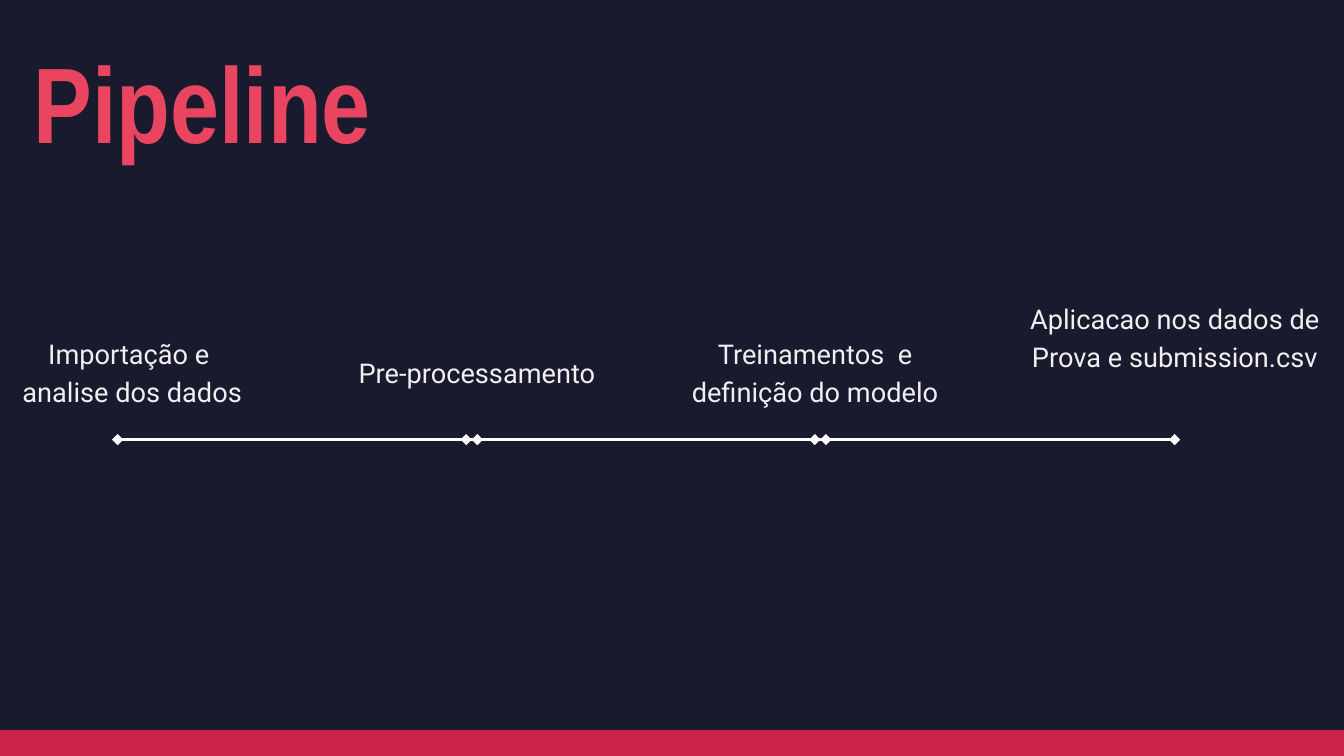
from dataclasses import dataclass

from lxml import etree
from pptx import Presentation
from pptx.dml.color import RGBColor
from pptx.enum.shapes import MSO_CONNECTOR, MSO_SHAPE
from pptx.enum.text import PP_ALIGN
from pptx.oxml.ns import qn
from pptx.util import Pt

PX = 9525
WIDE, HIGH = 1920, 1080
LEFT, CENTER = PP_ALIGN.LEFT, PP_ALIGN.CENTER
STRAIGHT = MSO_CONNECTOR.STRAIGHT
RECT = MSO_SHAPE.RECTANGLE


@dataclass(frozen=True)
class Style:
    font: str
    size: float
    lead: float
    color: str
    bold: bool = False
    align: int = LEFT


@dataclass(frozen=True)
class Theme:
    back: str = "1A1A2E"
    band: str = "CA2249"
    line: str = "FFFFFF"
    weight: int = 4
    title: Style = Style("Arial Narrow", 115, 115, "E94560", bold=True)
    label: Style = Style("Roboto", 29.1, 40.7, "F0F0F0", align=CENTER)


THEME = Theme()

# Label box (left, top, width, height) within the timeline, then its paragraphs
STEPS = [
    ((0, 50, 378, 105), ["Importação e ", "analise dos dados"]),
    ((468, 77, 427, 51), ["Pre-processamento"]),
    ((951, 50, 427, 105), ["Treinamentos  e definição do modelo"]),
    ((1465, 0, 427, 158), ["Aplicacao nos dados de Prova e submission.csv"]),
]


def px(*values):
    return [value * PX for value in values]


def rgb(code):
    return RGBColor.from_string(code)


def add_text(slide, box, lines, style):
    frame = slide.shapes.add_textbox(*px(*box)).text_frame
    frame.word_wrap = True
    frame.margin_left = frame.margin_right = 0
    frame.margin_top = frame.margin_bottom = 0
    frame.text = "\n".join(lines)
    for para in frame.paragraphs:
        para.alignment = style.align
        para.line_spacing = Pt(style.lead)
        para.font.name = style.font
        para.font.size = Pt(style.size)
        para.font.bold = style.bold
        para.font.color.rgb = rgb(style.color)


def add_link(slide, start, end, y):
    """Draw a level line with a diamond at each end."""
    link = slide.shapes.add_connector(STRAIGHT, *px(start, y, end, y))
    link.line.color.rgb = rgb(THEME.line)
    link.line.width = Pt(THEME.weight)
    stroke = link.line._get_or_add_ln()
    for tag in ("a:headEnd", "a:tailEnd"):
        etree.SubElement(stroke, qn(tag), type="diamond")
    etree.SubElement(link._element.spPr, qn("a:effectLst"))


def add_band(slide, box):
    band = slide.shapes.add_shape(RECT, *px(*box))
    band.shadow.inherit = False
    band.fill.solid()
    band.fill.fore_color.rgb = rgb(THEME.band)
    band.line.fill.background()


def add_timeline(slide, left, top):
    """Place the step labels, and below them links that overlap slightly."""
    first, pitch, length, drop = 168, 498, 514, 204
    for (x, y, wide, high), lines in STEPS:
        add_text(slide, (left + x, top + y, wide, high), lines, THEME.label)
    for index in range(len(STEPS) - 1):
        start = left + first + index * pitch
        add_link(slide, start, start + length, top + drop)


def main():
    deck = Presentation()
    deck.slide_width, deck.slide_height = px(WIDE, HIGH)
    slide = deck.slides.add_slide(deck.slide_layouts[6])
    fill = slide.background.fill
    fill.solid()
    fill.fore_color.rgb = rgb(THEME.back)

    add_text(slide, (48, 83, 1301, 160), ["Pipeline"], THEME.title)
    add_band(slide, (0, 1043, WIDE, HIGH - 1043))
    add_timeline(slide, 0, 424)
    deck.save("out.pptx")


if __name__ == "__main__":
    main()
